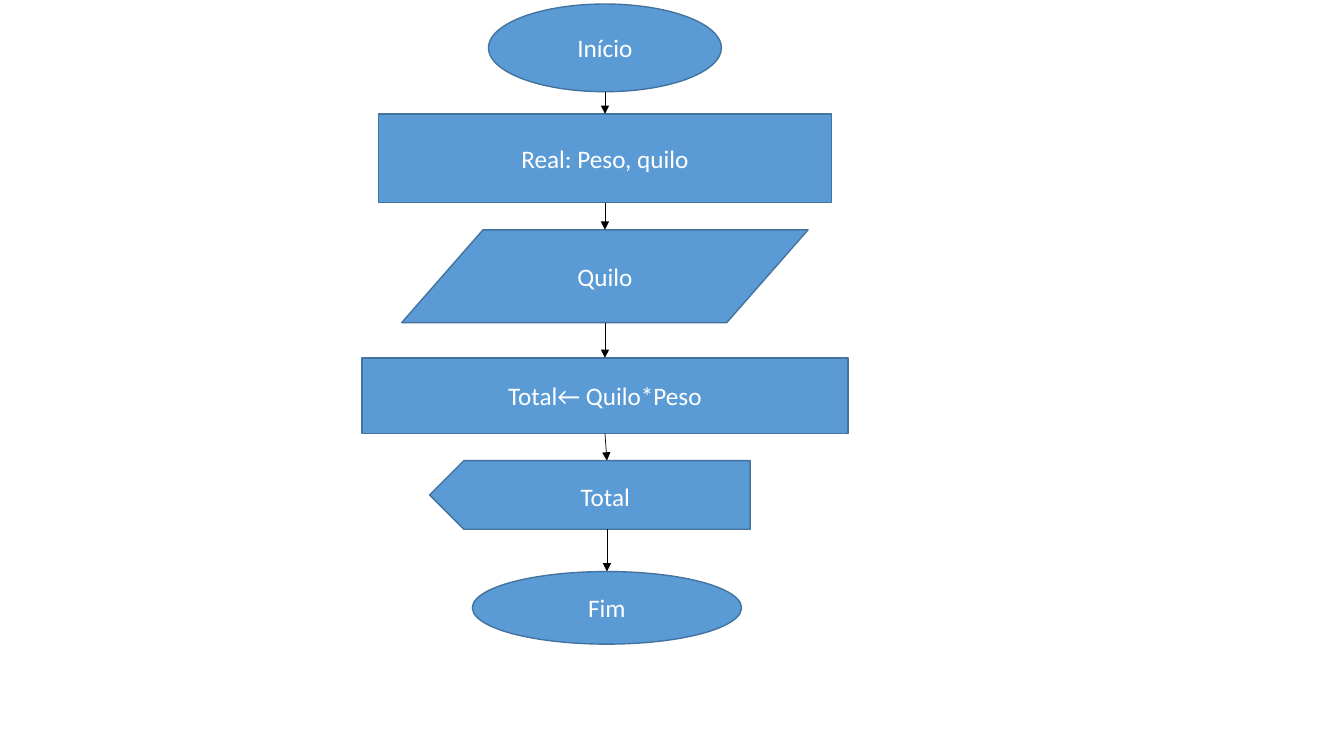
import dataclasses

import lxml.etree
import pptx
import pptx.dml.color
import pptx.enum.shapes
import pptx.enum.text
import pptx.oxml.ns
import pptx.util

Inches = pptx.util.Inches
SHAPES = pptx.enum.shapes.MSO_SHAPE
ALIGN = pptx.enum.text.PP_ALIGN

BLUE, BORDER, WHITE, BLACK = "5B9BD5", "43739E", "FFFFFF", "000000"


@dataclasses.dataclass
class Step:
    """One flowchart symbol; shift moves its centre off the chart axis."""
    text: str
    kind: int
    top: float
    width: float
    height: float
    shift: float = 0


STEPS = [
    Step("Início", SHAPES.OVAL, 0, 2.31, 0.87),
    Step("Real: Peso, quilo", SHAPES.RECTANGLE, 1.09, 4.49, 0.88),
    Step("Quilo", SHAPES.FLOWCHART_DATA, 2.24, 4.03, 0.92),
    Step("Total← Quilo*Peso", SHAPES.RECTANGLE, 3.51, 4.82, 0.75),
    Step("Total", SHAPES.PENTAGON, 4.53, 3.18, 0.68, -0.15),
    Step("Fim", SHAPES.OVAL, 5.63, 2.67, 0.72, 0.02),
]


def color(value):
    """Turn a hex string into a colour."""
    return pptx.dml.color.RGBColor.from_string(value)


def write_text(shape, text, *, size=18, font="Calibri", fill=WHITE,
               align=ALIGN.CENTER, anchor=pptx.enum.text.MSO_ANCHOR.MIDDLE):
    """Write one formatted paragraph into a shape."""
    frame = shape.text_frame
    frame.word_wrap = True
    frame.vertical_anchor = anchor
    paragraph = frame.paragraphs[0]
    paragraph.alignment = align
    run = paragraph.add_run()
    run.text = text
    run.font.size = pptx.util.Pt(size)
    run.font.name = font
    run.font.color.rgb = color(fill)


def add_symbol(slide, kind, left, top, width, height):
    """Add a blue flowchart symbol."""
    shape = slide.shapes.add_shape(
        kind, Inches(left), Inches(top), Inches(width), Inches(height))
    shape.shadow.inherit = False
    shape.fill.solid()
    shape.fill.fore_color.rgb = color(BLUE)
    shape.line.color.rgb = color(BORDER)
    shape.line.width = pptx.util.Pt(1)
    return shape


def add_arrow(slide, start, end):
    """Add a thin black arrow between two points."""
    arrow = slide.shapes.add_connector(
        pptx.enum.shapes.MSO_CONNECTOR.STRAIGHT, *map(Inches, start + end))
    arrow.line.color.rgb = color(BLACK)
    arrow.line.width = pptx.util.Pt(0.5)
    qualify = pptx.oxml.ns.qn
    lxml.etree.SubElement(
        arrow.line._get_or_add_ln(), qualify("a:tailEnd"), type="triangle")
    lxml.etree.SubElement(arrow._element.spPr, qualify("a:effectLst"))


def add_step(slide, step, axis, top):
    """Draw a step and return the x where arrows meet it."""
    centre = axis + step.shift
    shape = add_symbol(slide, step.kind, centre - step.width / 2, top,
                       step.width, step.height)
    if step.kind != SHAPES.PENTAGON:
        write_text(shape, step.text)
        return centre
    # The tag points left, so its label is a separate upright box.
    shape.rotation = 180
    label = slide.shapes.add_textbox(
        Inches(axis - 0.34), Inches(top + 0.16), Inches(1.49), Inches(0.4))
    write_text(label, step.text, align=ALIGN.LEFT,
               anchor=pptx.enum.text.MSO_ANCHOR.TOP)
    # Arrows meet the middle of the straight body, beyond the tip.
    return centre + step.height / 4


def add_flowchart(slide, steps, left, top, width):
    """Stack the steps around the box's middle axis and join them."""
    axis = left + width / 2
    previous_bottom = None
    for step in steps:
        step_top = top + step.top
        joint = add_step(slide, step, axis, step_top)
        if previous_bottom:
            add_arrow(slide, previous_bottom, (joint, step_top))
        previous_bottom = (joint, step_top + step.height)


def main():
    """Build and save the slide."""
    presentation = pptx.Presentation()
    presentation.slide_width = Inches(13.33)
    presentation.slide_height = Inches(7.5)
    slide = presentation.slides.add_slide(presentation.slide_layouts[6])
    add_flowchart(slide, STEPS, left=3.59, top=0.04, width=4.82)
    presentation.save("out.pptx")


main()
